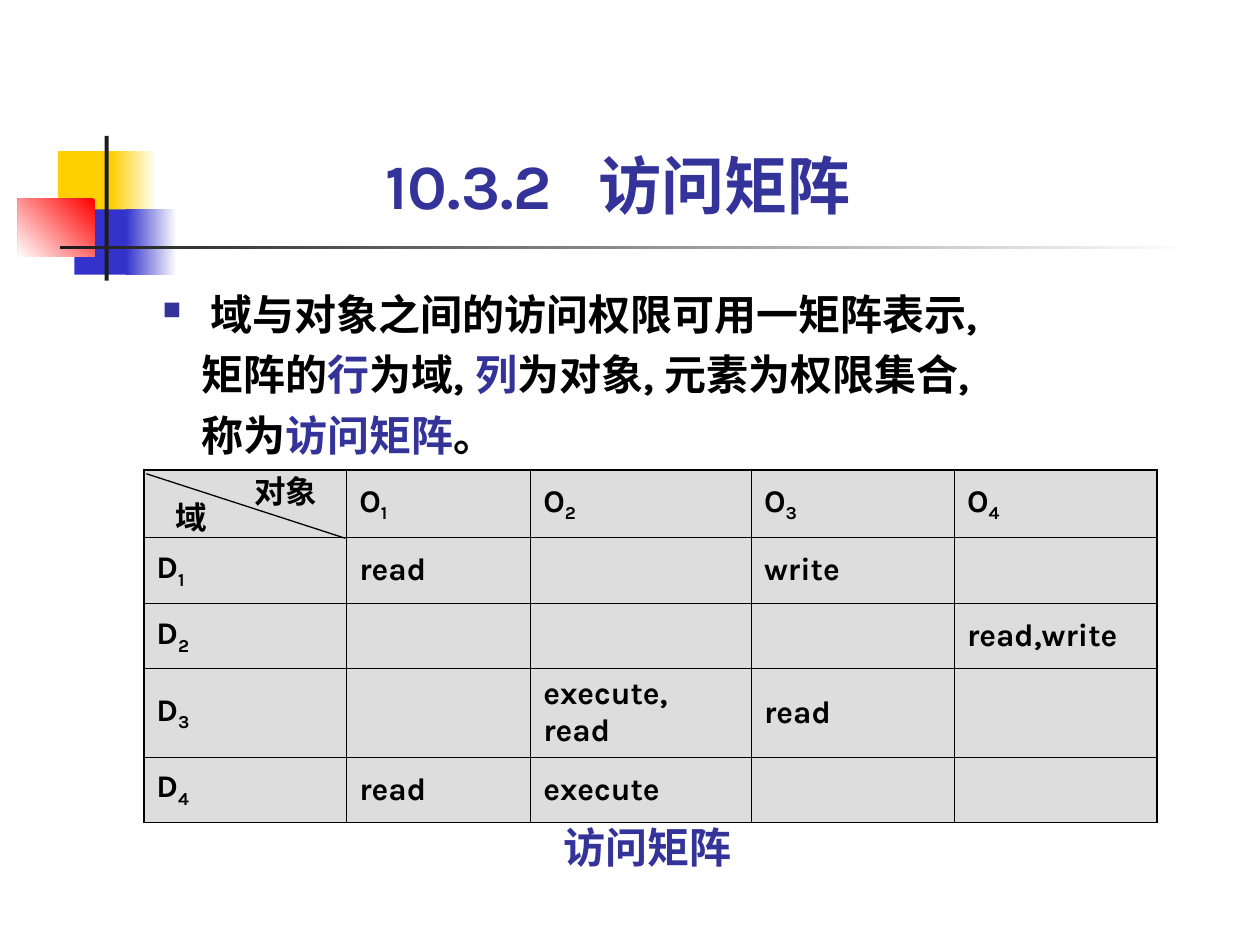
from collections import namedtuple
from dataclasses import dataclass

from lxml import etree
from pptx import Presentation
from pptx.dml.color import RGBColor
from pptx.enum.shapes import MSO_CONNECTOR, MSO_SHAPE
from pptx.enum.text import MSO_ANCHOR, MSO_AUTO_SIZE, PP_ALIGN
from pptx.oxml.ns import qn
from pptx.util import Cm, Pt

RECTANGLE = MSO_SHAPE.RECTANGLE
STRAIGHT = MSO_CONNECTOR.STRAIGHT
TOP, MIDDLE, BOTTOM = MSO_ANCHOR.TOP, MSO_ANCHOR.MIDDLE, MSO_ANCHOR.BOTTOM
LEFT, CENTER = PP_ALIGN.LEFT, PP_ALIGN.CENTER
FIT_SHAPE, NO_FIT = MSO_AUTO_SIZE.SHAPE_TO_FIT_TEXT, MSO_AUTO_SIZE.NONE
TITLE_ONLY = 5

Box = namedtuple("Box", "left top width height")


@dataclass(frozen=True)
class Theme:
    """Colours, fonts and type sizes of the deck."""
    ink: str = "000000"
    accent: str = "333399"
    yellow: str = "FFCF01"
    blue: str = "3333CC"
    red: str = "FF0000"
    bar: str = "1C1C1C"
    white: str = "FFFFFF"
    cell: str = "DDDDDD"
    latin: str = "Karla"
    asian: str = "Noto Sans CJK SC"
    title: int = 36
    body: int = 24
    table: int = 18
    outer_line: float = 1.08
    inner_line: float = 0.45
    diagonal: float = 0.75


THEME = Theme()


def lengths(box):
    """Turn a box in centimetres into slide lengths."""
    return [Cm(value) for value in box]


def inside(box, left, top, width, height):
    """Give a box placed relative to the corner of another."""
    return Box(box.left + left, box.top + top, width, height)


def add_child(parent, tag, **attributes):
    """Append a drawing element with its attributes."""
    child = etree.SubElement(parent, qn(tag))
    for name, value in attributes.items():
        child.set(name, str(value))
    return child


def add_span(para, text, size, color=THEME.ink, latin=THEME.latin, subscript=False):
    """Append one bold run of text."""
    span = para.add_run()
    span.text = text
    for name, value in {"size": Pt(size), "bold": True, "name": latin}.items():
        setattr(span.font, name, value)
    span.font.color.rgb = RGBColor.from_string(color)
    properties = span._r.get_or_add_rPr()
    add_child(properties, "a:ea", typeface=THEME.asian)
    if subscript:
        properties.set("baseline", "-25000")


def format_frame(frame, anchor=TOP, fit=FIT_SHAPE):
    """Remove the insets of a text frame and set how it wraps."""
    values = {"word_wrap": True, "auto_size": fit, "vertical_anchor": anchor,
              "margin_left": 0, "margin_top": 0, "margin_right": 0, "margin_bottom": 0}
    for name, value in values.items():
        setattr(frame, name, value)


def add_text(shapes, box, anchor=TOP, fit=FIT_SHAPE):
    """Add a text box and return its frame."""
    frame = shapes.add_textbox(*lengths(box)).text_frame
    format_frame(frame, anchor, fit)
    return frame


def draw_ornament(page, box):
    """Draw the coloured squares and the bars beside the title."""
    parts = [
        ((0.81, 0.31, 1.22, 1.32), [THEME.yellow], 0),
        ((1.88, 0.31, 0.91, 1.32), [THEME.white, THEME.yellow], 180),
        ((1.14, 1.48, 1.17, 1.32), [THEME.blue], 0),
        ((2.18, 1.48, 1.02, 1.32), [THEME.white, THEME.blue], 180),
        ((0, 1.27, 1.55, 1.17), [THEME.red, THEME.white], 225),
        ((1.75, 0, 0.08, 2.92), [THEME.bar], 0),
        ((0.86, 2.21, 22.86, 0.08), [THEME.white, THEME.bar], 180),
    ]
    for place, colors, angle in parts:
        shape = page.shapes.add_shape(RECTANGLE, *lengths(inside(box, *place)))
        shape.shadow.inherit = False
        shape.line.fill.background()
        if len(colors) == 1:
            shape.fill.solid()
            shape.fill.fore_color.rgb = RGBColor.from_string(colors[0])
            continue
        shape.fill.gradient()
        shape.fill.gradient_angle = angle
        for stop, color in zip(shape.fill.gradient_stops, colors):
            stop.color.rgb = RGBColor.from_string(color)


def draw_title(page, box):
    """Place the title with a tab between number and name."""
    title = page.shapes.title
    for name, value in zip(Box._fields, lengths(box)):
        setattr(title, name, value)
    format_frame(title.text_frame, BOTTOM)
    para = title.text_frame.paragraphs[0]
    para.alignment = LEFT
    tabs = add_child(para._p.get_or_add_pPr(), "a:tabLst")
    add_child(tabs, "a:tab", pos=Cm(4.3), algn="l")
    add_span(para, "10.3.2\t访问矩阵", THEME.title, THEME.accent)


def draw_body(page, box):
    """Write the bulleted statement over three lines."""
    lines = [
        [("域与对象之间的访问权限可用一矩阵表示,", THEME.ink)],
        [("矩阵的", THEME.ink), ("行", THEME.accent), ("为域, ", THEME.ink),
         ("列", THEME.accent), ("为对象, 元素为权限集合,", THEME.ink)],
        [("称为", THEME.ink), ("访问矩阵", THEME.accent), ("。", THEME.ink)],
    ]
    frame = add_text(page.shapes, box, fit=NO_FIT)
    for index, spans in enumerate(lines):
        para = frame.add_paragraph() if index else frame.paragraphs[0]
        para.line_spacing = 1.2
        properties = para._p.get_or_add_pPr()
        margin, indent = (Cm(0.79), 0) if index else (Cm(0.97), Cm(-0.97))
        properties.set("marL", str(margin))
        properties.set("indent", str(indent))
        if index == 0:
            add_child(add_child(properties, "a:buClr"), "a:srgbClr", val=THEME.accent)
            add_child(properties, "a:buSzPct", val=60000)
            add_child(properties, "a:buChar", char="■")
        for text, color in spans:
            add_span(para, text, THEME.body, color)


def format_cell(cell, outer_sides):
    """Set the borders, fill and anchor of a table cell."""
    properties = cell._tc.get_or_add_tcPr()
    for side in "LRTB":
        width = THEME.outer_line if side in outer_sides else THEME.inner_line
        line = add_child(properties, "a:ln" + side, w=Pt(width))
        add_child(add_child(line, "a:solidFill"), "a:srgbClr", val=THEME.ink)
    cell.fill.solid()
    cell.fill.fore_color.rgb = RGBColor.from_string(THEME.cell)
    cell.vertical_anchor = MIDDLE


def draw_matrix(page, box):
    """Build the access matrix of domains and objects."""
    rights = [["read", "", "write", ""],
              ["", "", "", "read,write"],
              ["", "execute, read", "read", ""],
              ["read", "execute", "", ""]]
    widths, heights = [4.09, 3.71, 4.45, 4.09, 4.09], [1.37] + [1.32] * 4
    table = page.shapes.add_table(len(heights), len(widths), *lengths(box)).table
    table.first_row = table.horz_banding = False
    for column, width in zip(table.columns, widths):
        column.width = Cm(width)
    last_row, last_column = len(heights) - 1, len(widths) - 1
    for row, height in enumerate(heights):
        table.rows[row].height = Cm(height)
        for column in range(len(widths)):
            cell = table.cell(row, column)
            edges = {"L": column == 0, "R": column == last_column,
                     "T": row == 0, "B": row == last_row}
            format_cell(cell, [side for side, outer in edges.items() if outer])
            para = cell.text_frame.paragraphs[0]
            if row and column:
                if rights[row - 1][column - 1]:
                    add_span(para, rights[row - 1][column - 1], THEME.table)
            elif row or column:
                add_span(para, "D" if row else "O", THEME.table)
                add_span(para, str(row or column), THEME.table, subscript=True)


def draw_corner(page, box):
    """Split the corner cell with a diagonal and two labels."""
    shapes = page.shapes.add_group_shape().shapes
    for text, left, top in [("对象", 2.23, 0.05), ("域", 0.63, 0.56)]:
        frame = add_text(shapes, inside(box, left, top, 1.35, 0.76))
        add_span(frame.paragraphs[0], text, THEME.table)
    ends = lengths((box.left + 0.05, box.top + 0.08, box.left + box.width, box.top + box.height))
    diagonal = shapes.add_connector(STRAIGHT, *ends)
    diagonal.line.width = Pt(THEME.diagonal)
    diagonal.line.color.rgb = RGBColor.from_string(THEME.ink)
    add_child(diagonal._element.spPr, "a:effectLst")


def draw_caption(page, box):
    """Write the caption under the matrix."""
    para = add_text(page.shapes, box, MIDDLE).paragraphs[0]
    para.alignment = CENTER
    add_span(para, "访问矩阵", THEME.body, THEME.accent, THEME.asian)


def main():
    """Build the slide and save the deck."""
    deck = Presentation()
    deck.slide_width, deck.slide_height = Cm(25.4), Cm(19.05)
    page = deck.slides.add_slide(deck.slide_layouts[TITLE_ONLY])
    draw_ornament(page, Box(0.36, 2.74, 23.72, 2.92))
    draw_title(page, Box(7.77, 2.95, 10.13, 1.52))
    draw_body(page, Box(3.28, 5.61, 17.37, 4.88))
    draw_caption(page, Box(10.9, 16.56, 4.29, 1.02))
    draw_matrix(page, Box(2.9, 9.47, 20.43, 6.65))
    draw_corner(page, Box(2.9, 9.47, 4.06, 1.38))
    deck.save("out.pptx")


if __name__ == "__main__":
    main()
